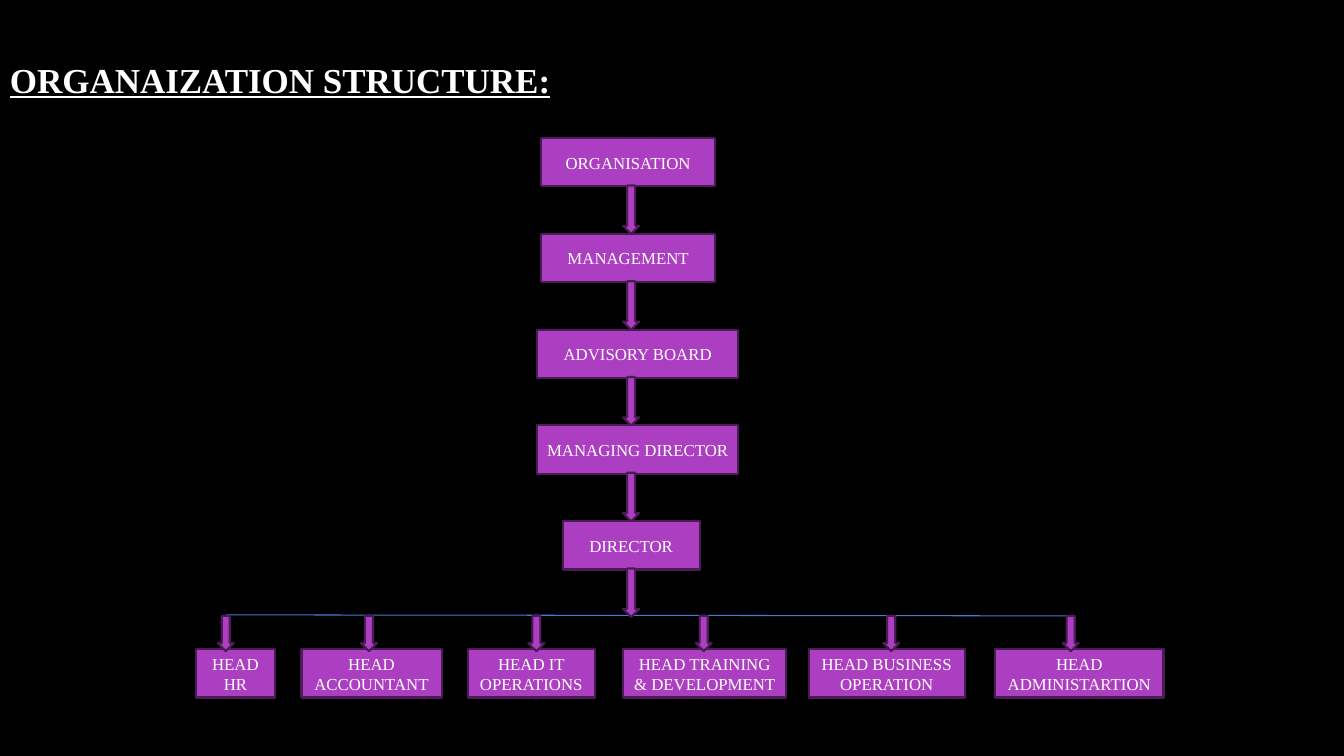
"""Build an organisation chart slide: a chain of command above a row of heads."""
from pptx import Presentation
from pptx.dml.color import RGBColor
from pptx.enum.shapes import MSO_CONNECTOR, MSO_SHAPE as SHAPE
from pptx.enum.text import MSO_ANCHOR as ANCHOR, PP_ALIGN as ALIGN
from pptx.oxml.ns import qn
from pptx.util import Inches, Pt
from lxml import etree

BLACK = RGBColor(0x00, 0x00, 0x00)
WHITE = RGBColor(0xFF, 0xFF, 0xFF)
PURPLE = RGBColor(0xAC, 0x3E, 0xC1)
PLUM = RGBColor(0x4B, 0x1B, 0x55)
BLUE = RGBColor(0x47, 0x7B, 0xD1)

BOX_H = 0.48
ARROW_W = 0.16
CHAIN_TOP, CHAIN_STEP, CHAIN_X = 1.37, 0.95, 6.26
BUS_Y, HEADS_TOP = 6.11, 6.44


def add_block(kind, left, top, width, height):
    sp = s.shapes.add_shape(kind, Inches(left), Inches(top), Inches(width), Inches(height))
    sp.shadow.inherit = False
    sp.fill.solid()
    sp.fill.fore_color.rgb = PURPLE
    sp.line.color.rgb = PLUM
    sp.line.width = Pt(1.5)
    return sp


def write(sp, text, size, align):
    tf = sp.text_frame
    tf.word_wrap = True
    tf.vertical_anchor = ANCHOR.MIDDLE
    tf.text = text
    p = tf.paragraphs[0]
    p.alignment = align
    font = p.runs[0].font
    font.name = "Times New Roman"
    font.size = Pt(size)
    font.color.rgb = WHITE
    return font


prs = Presentation()
prs.slide_width, prs.slide_height = Inches(13.33), Inches(7.5)
s = prs.slides.add_slide(prs.slide_layouts[6])
s.background.fill.solid()
s.background.fill.fore_color.rgb = BLACK

title = s.shapes.add_textbox(0, Inches(0.22), Inches(5.92), Inches(1.13))
font = write(title, "ORGANAIZATION STRUCTURE:", 25, ALIGN.LEFT)
font.bold = font.underline = True

chain = [
    ("ORGANISATION", 5.37, 1.72),
    ("MANAGEMENT", 5.37, 1.72),
    ("ADVISORY BOARD", 5.33, 1.99),
    ("MANAGING DIRECTOR", 5.33, 1.99),
    ("DIRECTOR", 5.58, 1.36),
]
heads = [
    ("HEAD HR", 1.94, 0.79, 2.24),
    ("HEAD ACCOUNTANT", 2.99, 1.39, 3.66),
    ("HEAD IT OPERATIONS", 4.64, 1.26, 5.32),
    ("HEAD TRAINING & DEVELOPMENT", 6.18, 1.62, 6.98),
    ("HEAD BUSINESS OPERATION", 8.02, 1.55, 8.84),
    ("HEAD ADMINISTARTION", 9.87, 1.67, 10.62),
]

boxes = [(name, left, CHAIN_TOP + i * CHAIN_STEP, width)
         for i, (name, left, width) in enumerate(chain)]
boxes += [(name, left, HEADS_TOP, width) for name, left, width, _ in heads]
for name, left, top, width in boxes:
    box = add_block(SHAPE.RECTANGLE, left, top, width, BOX_H)
    write(box, name, 12, ALIGN.CENTER)
    box.text_frame.margin_left = box.text_frame.margin_right = Inches(0.09)

bus = s.shapes.add_connector(MSO_CONNECTOR.STRAIGHT, Inches(heads[0][3]), Inches(BUS_Y - 0.01),
                             Inches(heads[-1][3]), Inches(BUS_Y))
bus.line.color.rgb = BLUE
bus.line.width = Pt(0.75)
etree.SubElement(bus._element.spPr, qn("a:effectLst"))

arrows = [(CHAIN_X, CHAIN_TOP + i * CHAIN_STEP + BOX_H - 0.01, BOX_H) for i in range(len(chain))]
arrows += [(center, BUS_Y, 0.35) for _, _, _, center in heads]
for center, top, height in arrows:
    add_block(SHAPE.DOWN_ARROW, center - ARROW_W / 2, top, ARROW_W, height)

prs.save("out.pptx")
